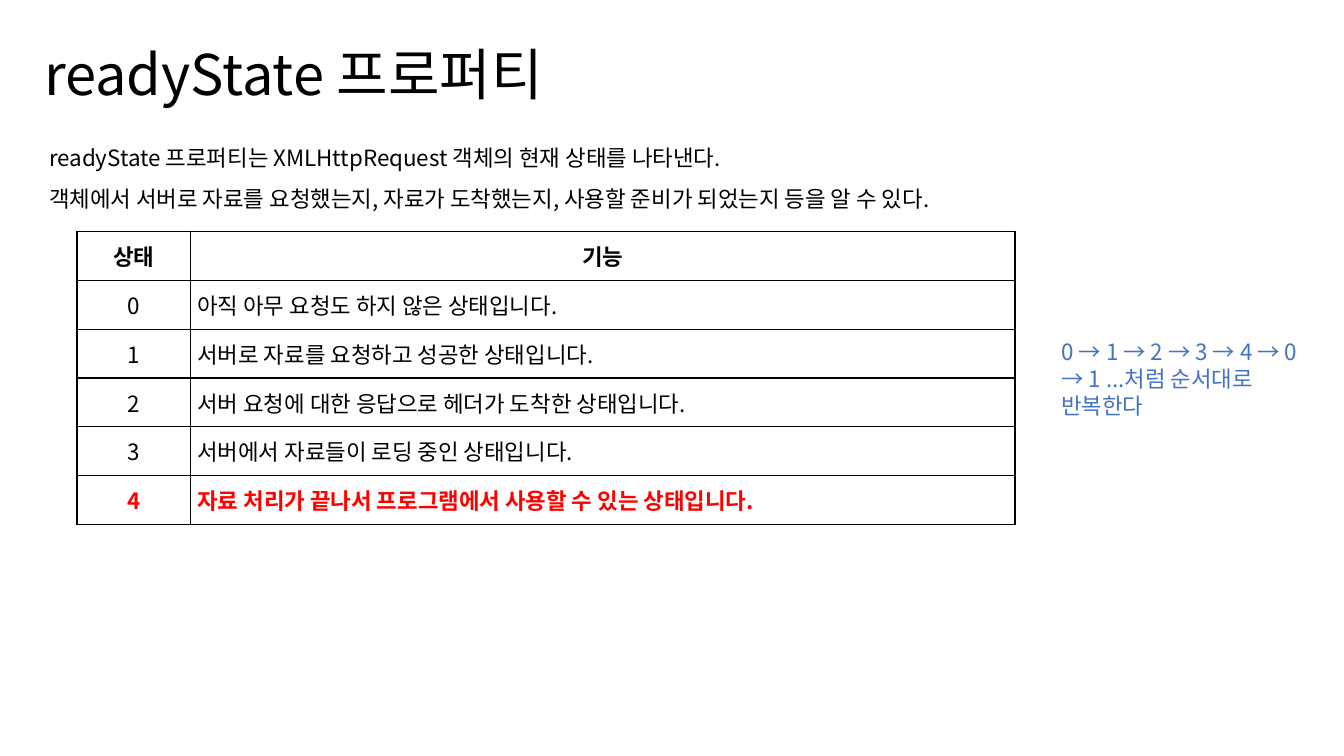
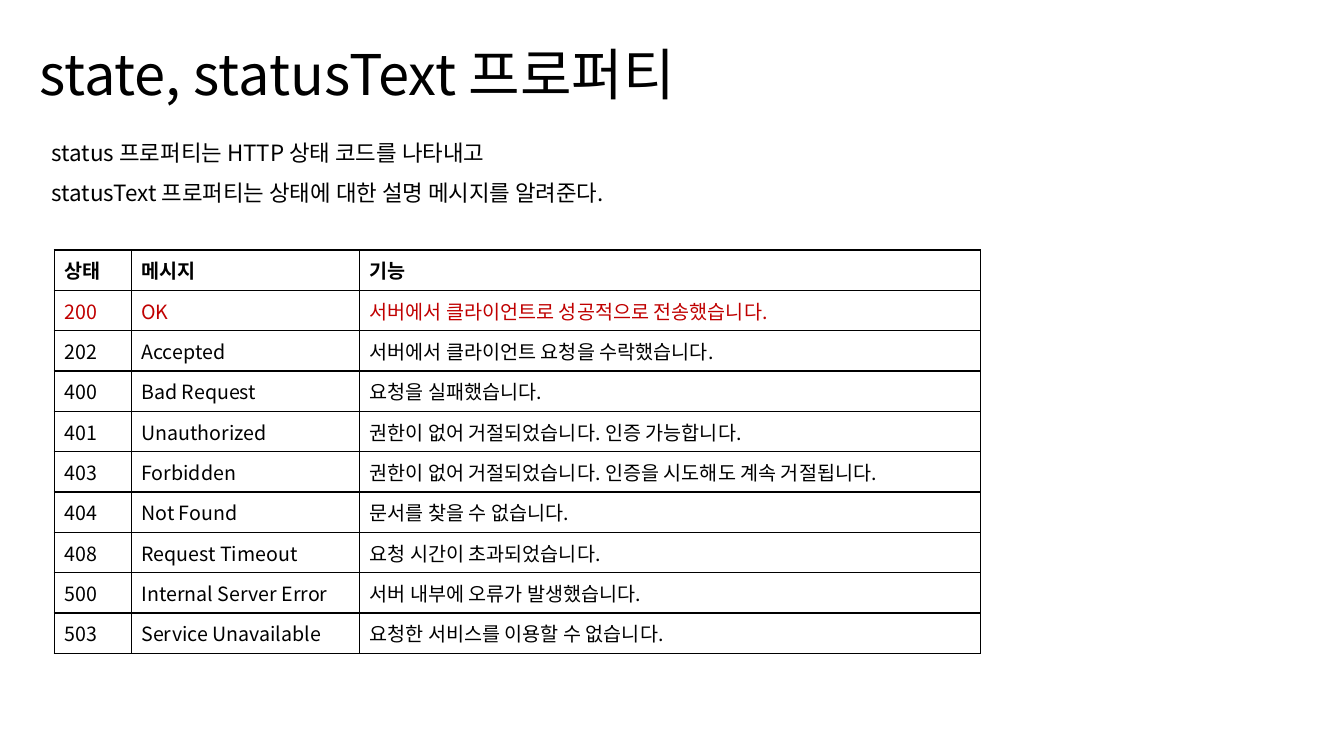
"""Build two slides on the state properties of XMLHttpRequest."""
from dataclasses import dataclass

from lxml import etree
from pptx import Presentation
from pptx.dml.color import RGBColor
from pptx.enum.shapes import MSO_SHAPE
from pptx.enum.text import MSO_ANCHOR, MSO_AUTO_SIZE, PP_ALIGN
from pptx.oxml.ns import qn
from pptx.util import Pt

RECT = MSO_SHAPE.RECTANGLE
MIDDLE = MSO_ANCHOR.MIDDLE
FIT_SHAPE = MSO_AUTO_SIZE.SHAPE_TO_FIT_TEXT
LEFT, CENTER = PP_ALIGN.LEFT, PP_ALIGN.CENTER

FONT = "Noto Sans CJK KR"
BLACK, WHITE, BLUE = "000000", "FFFFFF", "4472C4"
BORDER_WIDTH = 1


@dataclass(frozen=True)
class Box:
    left: float
    top: float
    width: float
    height: float


@dataclass(frozen=True)
class Grid:
    left: float
    top: float
    widths: tuple[float, ...]
    row_height: float
    margin_x: float
    margin_y: float
    size: float
    rows: tuple[tuple[str, ...], ...]
    marked_row: int
    marked_color: str
    marked_bold: bool = False
    centered_header: bool = False
    centered_first_column: bool = False


@dataclass(frozen=True)
class Page:
    title: str
    title_left: float
    body: tuple[str, ...]
    body_left: float
    body_top: float
    grid: Grid
    note: str = ""


PAGES = (
    Page(
        "readyState 프로퍼티", 24.5,
        ("readyState 프로퍼티는 XMLHttpRequest 객체의 현재 상태를 나타낸다.",
         "객체에서 서버로 자료를 요청했는지, 자료가 도착했는지, "
         "사용할 준비가 되었는지 등을 알 수 있다."),
        28, 90,
        Grid(
            55, 165.3, (81, 589), 34.9, 5, 0, 16,
            (("상태", "기능"),
             ("0", "아직 아무 요청도 하지 않은 상태입니다."),
             ("1", "서버로 자료를 요청하고 성공한 상태입니다."),
             ("2", "서버 요청에 대한 응답으로 헤더가 도착한 상태입니다."),
             ("3", "서버에서 자료들이 로딩 중인 상태입니다."),
             ("4", "자료 처리가 끝나서 프로그램에서 사용할 수 있는 상태입니다.")),
            marked_row=5, marked_color="FF0000", marked_bold=True,
            centered_header=True, centered_first_column=True,
        ),
        "0 → 1 → 2 → 3 → 4 → 0 → 1 ...처럼 순서대로 반복한다",
    ),
    Page(
        "state, statusText 프로퍼티", 21,
        ("status 프로퍼티는 HTTP 상태 코드를 나타내고",
         "statusText 프로퍼티는 상태에 대한 설명 메시지를 알려준다."),
        30, 86.4,
        Grid(
            38.8, 178.6, (55, 163, 443.6), 28.8, 7.2, 3.6, 14,
            (("상태", "메시지", "기능"),
             ("200", "OK", "서버에서 클라이언트로 성공적으로 전송했습니다."),
             ("202", "Accepted", "서버에서 클라이언트 요청을 수락했습니다."),
             ("400", "Bad Request", "요청을 실패했습니다."),
             ("401", "Unauthorized",
              "권한이 없어 거절되었습니다. 인증 가능합니다."),
             ("403", "Forbidden",
              "권한이 없어 거절되었습니다. 인증을 시도해도 계속 거절됩니다."),
             ("404", "Not Found", "문서를 찾을 수 없습니다."),
             ("408", "Request Timeout", "요청 시간이 초과되었습니다."),
             ("500", "Internal Server Error", "서버 내부에 오류가 발생했습니다."),
             ("503", "Service Unavailable", "요청한 서비스를 이용할 수 없습니다.")),
            marked_row=1, marked_color="C00000",
        ),
    ),
)


def rgb(color: str) -> RGBColor:
    return RGBColor.from_string(color)


def style(p, size: float, color: str = BLACK, bold: bool = False, align=LEFT) -> None:
    p.alignment = align
    p.font.size = Pt(size)
    p.font.bold = bold
    p.font.name = FONT
    p.font.color.rgb = rgb(color)
    props = p._p.pPr.find(qn("a:defRPr"))
    etree.SubElement(props, qn("a:ea"), typeface=FONT)


def write(sp, lines: tuple[str, ...], size: float, color: str = BLACK,
          spacing: float = 1) -> None:
    tf = sp.text_frame
    tf.word_wrap = True
    tf.auto_size = FIT_SHAPE
    tf.text = "\n".join(lines)
    for p in tf.paragraphs:
        p.line_spacing = spacing
        style(p, size, color)


def add_text(s, box: Box, lines: tuple[str, ...], size: float, spacing: float = 1) -> None:
    sp = s.shapes.add_textbox(Pt(box.left), Pt(box.top), Pt(box.width), Pt(box.height))
    write(sp, lines, size, spacing=spacing)


def add_note(s, box: Box, text: str) -> None:
    sp = s.shapes.add_shape(RECT, Pt(box.left), Pt(box.top), Pt(box.width), Pt(box.height))
    sp.shadow.inherit = False
    sp.fill.solid()
    sp.fill.fore_color.rgb = rgb(WHITE)
    sp.line.fill.background()
    write(sp, (text,), 16, BLUE)


def add_borders(cell) -> None:
    props = cell._tc.get_or_add_tcPr()
    for i, side in enumerate(("a:lnL", "a:lnR", "a:lnT", "a:lnB")):
        line = etree.Element(qn(side), w=str(Pt(BORDER_WIDTH)))
        fill = etree.SubElement(line, qn("a:solidFill"))
        etree.SubElement(fill, qn("a:srgbClr"), val=BLACK)
        props.insert(i, line)


def add_grid(s, grid: Grid) -> None:
    count = len(grid.rows)
    table = s.shapes.add_table(
        count, len(grid.widths), Pt(grid.left), Pt(grid.top),
        Pt(sum(grid.widths)), Pt(grid.row_height * count)).table
    table.first_row = table.horz_banding = False
    for column, width in zip(table.columns, grid.widths):
        column.width = Pt(width)
    for i, texts in enumerate(grid.rows):
        table.rows[i].height = Pt(grid.row_height)
        marked = i == grid.marked_row
        color = grid.marked_color if marked else BLACK
        bold = i == 0 or (marked and grid.marked_bold)
        for j, text in enumerate(texts):
            cell = table.cell(i, j)
            cell.text = text
            cell.vertical_anchor = MIDDLE
            cell.margin_left = cell.margin_right = Pt(grid.margin_x)
            cell.margin_top = cell.margin_bottom = Pt(grid.margin_y)
            cell.fill.background()
            add_borders(cell)
            centered = (i == 0 and grid.centered_header
                        or j == 0 and grid.centered_first_column)
            style(cell.text_frame.paragraphs[0], grid.size, color, bold,
                  CENTER if centered else LEFT)


def add_page(prs, page: Page) -> None:
    s = prs.slides.add_slide(prs.slide_layouts[6])
    add_text(s, Box(page.body_left, page.body_top, 842, 62), page.body, 16, 1.5)
    add_grid(s, page.grid)
    if page.note:
        add_note(s, Box(751, 237.6, 193, 65.5), page.note)
    add_text(s, Box(page.title_left, 25, 680, 55.5), (page.title,), 40)


def main() -> None:
    prs = Presentation()
    prs.slide_width, prs.slide_height = Pt(960), Pt(540)
    for page in PAGES:
        add_page(prs, page)
    prs.save("out.pptx")


if __name__ == "__main__":
    main()
